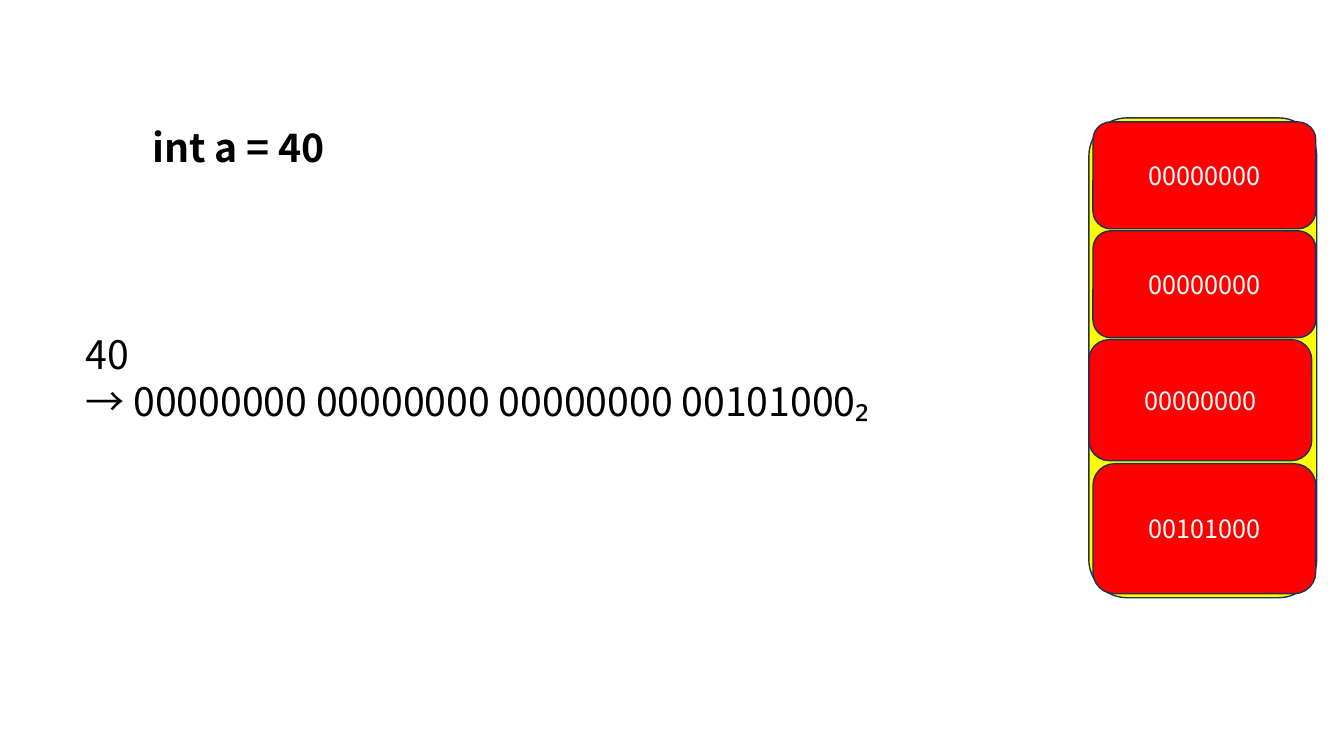
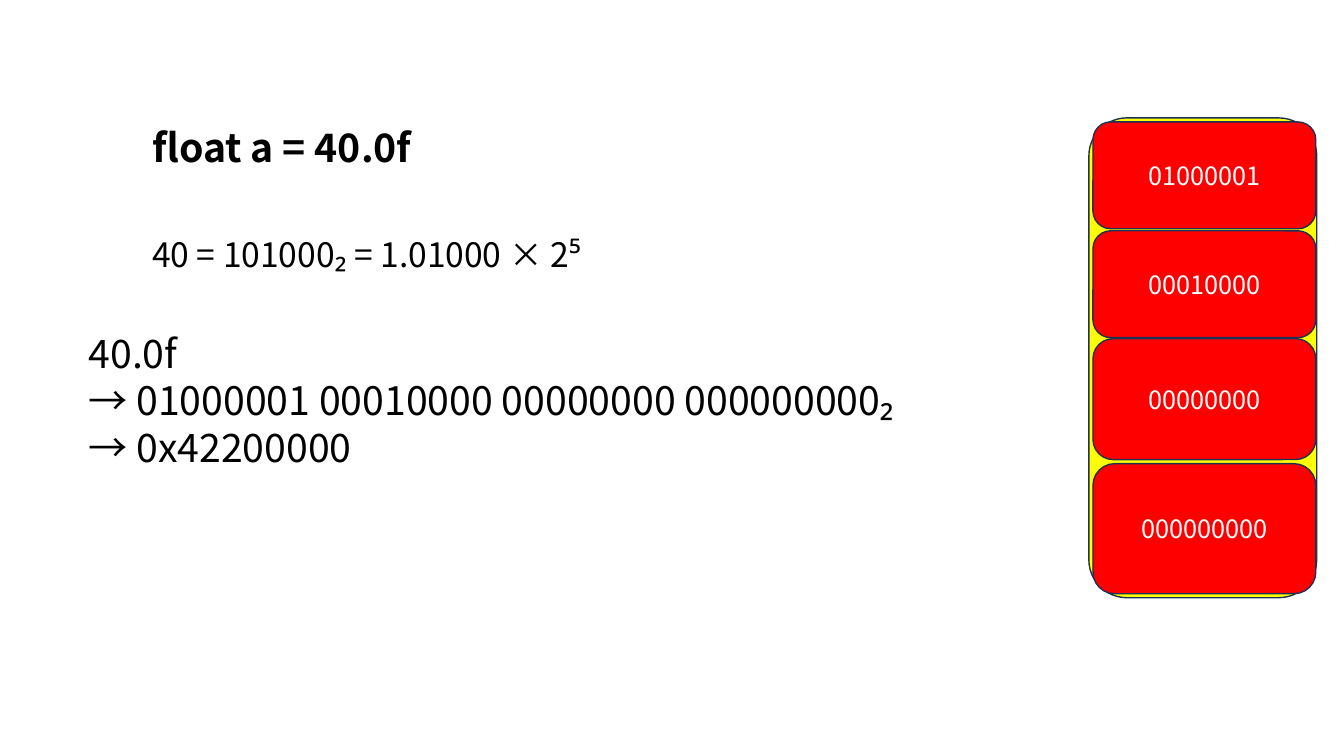
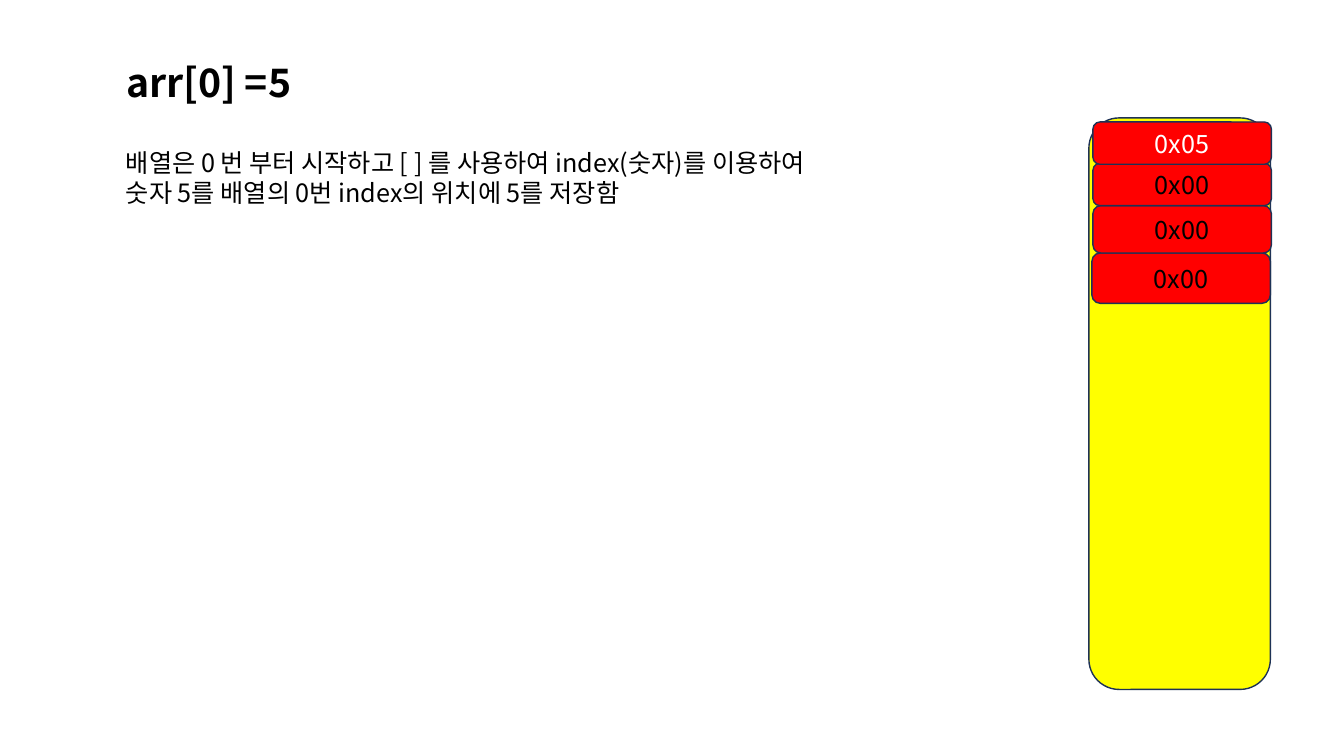
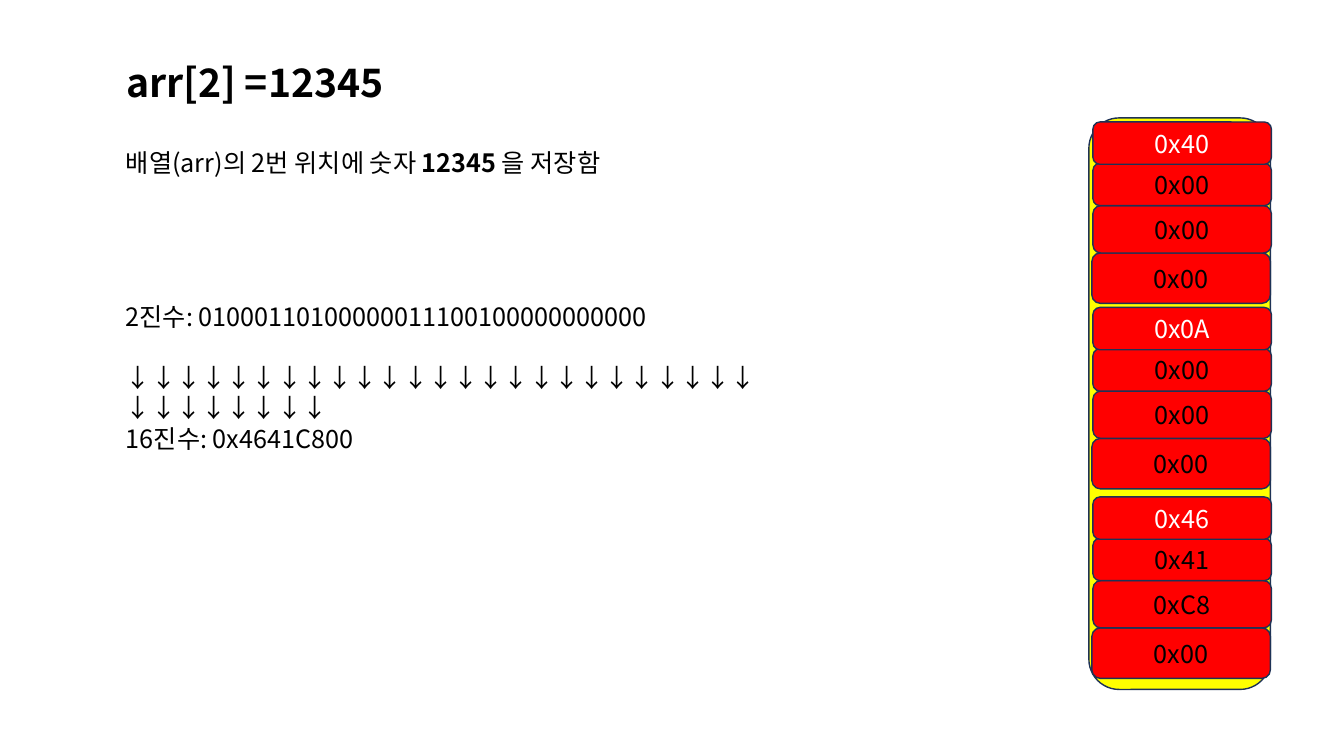
from lxml.etree import SubElement
from pptx import Presentation
from pptx.dml.color import RGBColor
from pptx.enum.shapes import MSO_SHAPE as SHAPE
from pptx.enum.text import MSO_ANCHOR as ANCHOR, MSO_AUTO_SIZE as AUTO, PP_ALIGN as ALIGN
from pptx.oxml.ns import qn
from pptx.util import Emu, Pt

PX = 9144
FONT = "Noto Sans CJK KR"
BLACK, WHITE, YELLOW, RED, NAVY = "000000", "FFFFFF", "FFFF00", "FF0000", "1E3256"
TITLE_ONLY = 5
VARIABLE_TITLE_AT = (141, 117)
ARRAY_TITLE_BOX = (115, 53, 389, 57)
VARIABLE_COLUMN = (1080, 117, 226, 476)
ARRAY_COLUMN = (1080, 117, 180, 567)
ARRAY_ROWS = [(4, 4, 42), (4, 45, 42), (4, 87, 47), (3, 134, 50)]
WORD_TOPS = [0, 184, 372]


def px(*values):
    return [Emu(v * PX) for v in values]


def color(value):
    return RGBColor.from_string(value)


def add_run(p, text, size, fill=BLACK, bold=False):
    r = p.add_run()
    r.text = text
    for name, value in {"name": FONT, "size": Pt(size), "bold": bold}.items():
        setattr(r.font, name, value)
    r.font.color.rgb = color(fill)
    SubElement(r.font._element, qn("a:ea"), typeface=FONT)


def add_title(s, box, text):
    sp = s.shapes.title
    sp.left, sp.top, sp.width, sp.height = px(*box)
    tf = sp.text_frame
    frame = {"word_wrap": True, "vertical_anchor": ANCHOR.TOP, "auto_size": AUTO.SHAPE_TO_FIT_TEXT}
    for name, value in frame.items():
        setattr(tf, name, value)
    p = tf.paragraphs[0]
    p.alignment = ALIGN.LEFT
    add_run(p, text, 28, bold=True)


def add_text(s, box, lines, size, gaps=()):
    tf = s.shapes.add_textbox(*px(*box)).text_frame
    tf.word_wrap = True
    tf.auto_size = AUTO.SHAPE_TO_FIT_TEXT
    for i, line in enumerate(lines):
        p = tf.add_paragraph() if i else tf.paragraphs[0]
        if i in gaps:
            p.space_before = Pt(22)
        for text, bold in [(line, False)] if isinstance(line, str) else line:
            add_run(p, text, size, bold=bold)


def add_block(s, box, fill):
    sp = s.shapes.add_shape(SHAPE.ROUNDED_RECTANGLE, *px(*box))
    sp.shadow.inherit = False
    sp.fill.solid()
    sp.fill.fore_color.rgb = color(fill)
    sp.line.color.rgb = color(NAVY)
    sp.line.width = Pt(1)
    return sp


def add_word(s, left, top, width, rows, values, text_colors):
    for (dx, dy, height), value, fill in reversed(list(zip(rows, values, text_colors))):
        tf = add_block(s, (left + dx, top + dy, width, height), RED).text_frame
        tf.vertical_anchor = ANCHOR.MIDDLE
        p = tf.paragraphs[0]
        p.alignment = ALIGN.CENTER
        add_run(p, value, 18, fill)


def new_slide(prs):
    return prs.slides.add_slide(prs.slide_layouts[TITLE_ONLY])


def variable_slide(prs, title, title_width, third_row, values, box, lines):
    s = new_slide(prs)
    add_title(s, (*VARIABLE_TITLE_AT, title_width, 57), title)
    left, top, *_ = VARIABLE_COLUMN
    add_block(s, VARIABLE_COLUMN, YELLOW)
    rows = [(4, 4, 106), (4, 112, 106), third_row, (4, 343, 129)]
    add_word(s, left, top, 221, rows, values, [WHITE] * 4)
    add_text(s, box, lines, 28)
    return s


def array_slide(prs, title, height, lines, words):
    s = new_slide(prs)
    add_title(s, ARRAY_TITLE_BOX, title)
    add_text(s, (115, 141, 997, height), lines, 18)
    left, top, *_ = ARRAY_COLUMN
    add_block(s, ARRAY_COLUMN, YELLOW)
    for word_top, word in zip(WORD_TOPS, words):
        add_word(s, left, top + word_top, 177, ARRAY_ROWS, word.split(), [WHITE] + [BLACK] * 3)
    return s


def main():
    prs = Presentation()
    prs.slide_width, prs.slide_height = px(1333, 750)

    variable_slide(
        prs, "int a = 40", 272, (0, 220, 120),
        ["00000000", "00000000", "00000000", "00101000"],
        (75, 323, 964, 104),
        ["40", "→ 00000000 00000000 00000000 00101000₂"])

    s = variable_slide(
        prs, "float a = 40.0f", 357, (4, 219, 120),
        ["01000001", "00010000", "00000000", "000000000"],
        (78, 322, 1129, 151),
        ["40.0f", "→ 01000001 00010000 00000000 000000000₂", "→ 0x42200000"])
    add_text(s, (141, 227, 667, 50), ["40 = 101000₂ = 1.01000 × 2⁵"], 24)

    array_slide(
        prs, "arr[0] =5", 71,
        ["배열은 0 번 부터 시작하고 [ ] 를 사용하여 index(숫자)를 이용하여",
         "숫자 5를 배열의 0번 index의 위치에 5를 저장함"],
        ["0x05 0x00 0x00 0x00"])

    s = array_slide(
        prs, "arr[2] =12345", 40,
        [[("배열(arr)의 2번 위치에 숫자 ", False), ("12345 ", True), ("을 저장함", False)]],
        ["0x40 0x00 0x00 0x00", "0x0A 0x00 0x00 0x00", "0x46 0x41 0xC8 0x00"])
    add_text(
        s, (115, 294, 667, 162),
        ["2진수: 01000110100000011100100000000000", "↓" * 33, "16진수: 0x4641C800"],
        18, gaps=(1,))

    prs.save("out.pptx")


if __name__ == "__main__":
    main()
